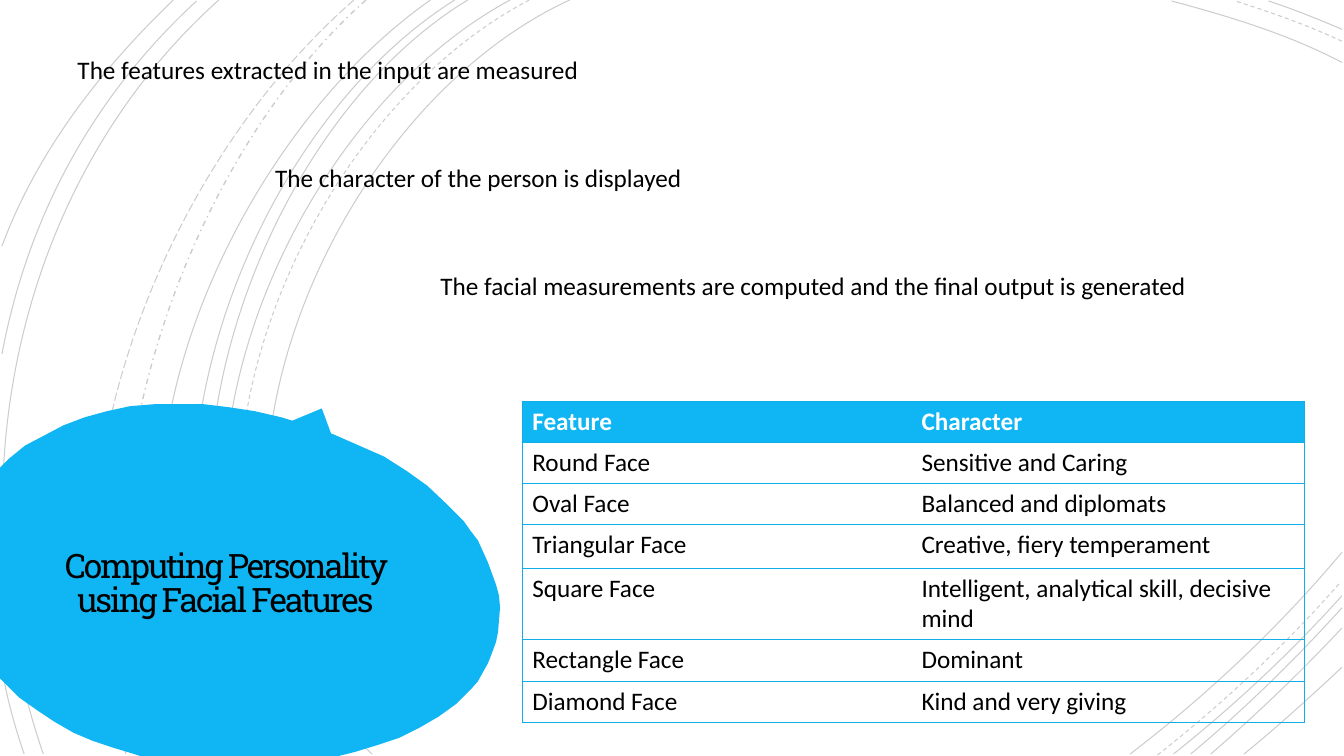
import lxml.etree
import pptx
import pptx.dml.color
import pptx.enum.dml
import pptx.enum.shapes
import pptx.enum.text
import pptx.oxml.ns
import pptx.util

PX = 9144  # one px is a hundredth of an inch
BLUE, EDGE, BLACK, WHITE = "10B6F4", "0FAEE9", "000000", "FFFFFF"
DASH = pptx.enum.dml.MSO_LINE
BODY = {"name": "Calibri", "size": pptx.util.Pt(18), "bold": False}
HEAD = {**BODY, "bold": True}
TITLE = {"name": "Roboto Slab", "size": pptx.util.Pt(24), "bold": False}

# Background arcs by dash style: start, two control points, end
ARCS = {
    DASH.SOLID: [
        (565, 0, 315, 115, 143, 540, 369, 748),
        (1331, 62, 1278, 34, 1218, 16, 1162, 1),
        (1121, 748, 1197, 690, 1269, 622, 1331, 548),
        (506, 0, 270, 127, 110, 537, 319, 748),
        (1331, 29, 1307, 19, 1283, 9, 1258, 1),
        (1164, 748, 1223, 701, 1280, 648, 1331, 591),
        (464, 0, 244, 133, 110, 541, 294, 748),
        (1181, 748, 1234, 704, 1284, 655, 1331, 603),
        (451, 0, 231, 138, 97, 533, 272, 748),
        (1201, 748, 1246, 709, 1290, 667, 1331, 623),
        (427, 0, 217, 147, 53, 529, 241, 748),
        (1234, 748, 1267, 721, 1299, 692, 1331, 662),
        (217, 0, 11, 185, -46, 490, 43, 748),
        (195, 1, 92, 96, 28, 214, 2, 351),
        (1, 658, 6, 689, 14, 719, 24, 748),
        (172, 0, 100, 69, 37, 150, 2, 244),
    ],
    DASH.DASH: [
        (525, 0, 285, 125, 123, 537, 336, 748),
        (1331, 41, 1297, 25, 1260, 12, 1225, 1),
        (1148, 749, 1213, 698, 1275, 640, 1330, 577),
    ],
    DASH.DASH_DOT: [(363, 0, 176, 166, 65, 509, 151, 748)],
    DASH.LONG_DASH: [(351, 0, 157, 169, 29, 499, 125, 748)],
}

# Outline of the speech bubble, clockwise from the top
BUBBLE = [
    (176, 401), (202, 401), (227, 404), (253, 408), (279, 414), (305, 422),
    (331, 431), (356, 442), (381, 453), (403, 467), (424, 482), (443, 500),
    (460, 517), (467, 527), (474, 536), (479, 547), (484, 558), (488, 569),
    (492, 580), (495, 591), (496, 603), (495, 615), (494, 627), (492, 637),
    (488, 648), (484, 658), (479, 667), (474, 676), (467, 684), (453, 698),
    (435, 711), (416, 722), (396, 732), (375, 739), (352, 746), (336, 750),
    (139, 750), (133, 748), (113, 742), (92, 735), (73, 727), (54, 716),
    (36, 704), (19, 692), (4, 677), (0, 673), (0, 464), (9, 455), (25, 442),
    (44, 432), (63, 422), (84, 414), (106, 408), (129, 403), (153, 401),
]

NOTES = [
    ("The facial measurements are computed and the final output is generated", 427, 263, 776),
    ("The features extracted in the input are measured", 67, 49, 561),
    ("The character of the person is displayed", 263, 156, 731),
]

ROWS = [
    ("Feature", "Character", 40),
    ("Round Face", "Sensitive and Caring", 41),
    ("Oval Face", "Balanced and diplomats", 41),
    ("Triangular Face", "Creative, fiery temperament", 43),
    ("Square Face", "Intelligent, analytical skill, decisive mind", 42),
    ("Rectangle Face", "Dominant", 41),
    ("Diamond Face", "Kind and very giving", 41),
]


def px(*nums):
    return [n * PX for n in nums]


def tint(code):
    return pptx.dml.color.RGBColor.from_string(code)


def node(host, tag, **vals):
    return lxml.etree.SubElement(host, pptx.oxml.ns.qn(tag), vals)


def find(shape, tag):
    return list(shape.element.iter(pptx.oxml.ns.qn(tag)))


def apply(item, vals):
    for key, val in vals.items():
        setattr(item, key, val)


def write(frame, text, font, code):
    par = frame.paragraphs[0]
    run = par.add_run()
    run.text = text
    apply(run.font, font)
    run.font.color.rgb = tint(code)
    return par, run


def paint(shape, code):
    shape.shadow.inherit = False
    shape.fill.solid()
    shape.fill.fore_color.rgb = tint(code)
    shape.line.fill.background()


def outline(shapes, dots, close):
    form = shapes.build_freeform(*dots[0], scale=PX)
    form.add_line_segments(dots[1:], close=close)
    return form.convert_to_shape()


def arc(shapes, nums, dash):
    curve = outline(shapes, list(zip(nums[::2], nums[1::2])), False)
    # Join the three straight steps into one cubic curve
    steps = find(curve, "a:lnTo")
    trace = steps[0].getparent()
    bend = node(trace, "a:cubicBezTo")
    for step in steps:
        bend.append(step[0])
        trace.remove(step)
    curve.shadow.inherit = False
    curve.fill.background()
    curve.line.color.rgb = tint(BLACK)
    width = 1 if dash == DASH.DASH_DOT else 0.75
    apply(curve.line, {"width": pptx.util.Pt(width), "dash_style": dash})
    for color in find(curve, "a:srgbClr"):
        node(color, "a:alpha", val="20000")


def bubble(shapes):
    kind = pptx.enum.shapes.MSO_SHAPE.ISOSCELES_TRIANGLE
    tail = shapes.add_shape(kind, *px(202, 401, 194, 101))
    tail.rotation = 23.6
    paint(tail, BLUE)
    paint(outline(shapes, BUBBLE, True), BLUE)


def title(shapes, text):
    box = shapes.title
    shapes.element.append(box.element)  # in front of the bubble
    apply(box, dict(zip(("left", "top", "width", "height"), px(19, 446, 409, 269))))
    frame = box.text_frame
    apply(frame, {"margin_" + side: px(25)[0] for side in ("left", "top", "right", "bottom")})
    apply(frame, {"word_wrap": True, "auto_size": pptx.enum.text.MSO_AUTO_SIZE.NONE,
                  "vertical_anchor": pptx.enum.text.MSO_ANCHOR.MIDDLE})
    par, run = write(frame, text, TITLE, BLACK)
    apply(par, {"alignment": pptx.enum.text.PP_ALIGN.CENTER, "line_spacing": 0.85})
    run.font._element.set("spc", "-150")


def note(shapes, text, left, top, width):
    frame = shapes.add_textbox(*px(left, top, width, 40)).text_frame
    apply(frame, {"word_wrap": True, "auto_size": pptx.enum.text.MSO_AUTO_SIZE.SHAPE_TO_FIT_TEXT})
    write(frame, text, BODY, BLACK)


def border(cell, drawn):
    props = cell._tc.get_or_add_tcPr()
    for side in "LRTB":
        line = node(props, "a:ln" + side, w="9525")
        if side in drawn:
            node(node(line, "a:solidFill"), "a:srgbClr", val=EDGE)
        else:
            node(line, "a:noFill")


def table(shapes):
    frame = shapes.add_table(len(ROWS), 2, *px(518, 398, 776, 316))
    grid = frame.table
    grid.horz_banding = False
    for col, wide in zip(grid.columns, px(386, 390)):
        col.width = wide
    for r, (*words, tall) in enumerate(ROWS):
        grid.rows[r].height = px(tall)[0]
        for c, word in enumerate(words):
            cell = grid.cell(r, c)
            border(cell, "LR"[c] + "TB")
            if r == 0:
                cell.fill.solid()
                cell.fill.fore_color.rgb = tint(BLUE)
                write(cell.text_frame, word, HEAD, WHITE)
            else:
                cell.fill.background()
                write(cell.text_frame, word, BODY, BLACK)
    frame.height = px(316)[0]


def main():
    deck = pptx.Presentation()
    deck.slide_width, deck.slide_height = px(1333, 750)
    shapes = deck.slides.add_slide(deck.slide_layouts[5]).shapes
    # Backdrop
    for dash, group in ARCS.items():
        for nums in group:
            arc(shapes, nums, dash)
    bubble(shapes)
    # Content
    title(shapes, "Computing Personality using Facial Features")
    table(shapes)
    for item in NOTES:
        note(shapes, *item)
    deck.save("out.pptx")


if __name__ == "__main__":
    main()
